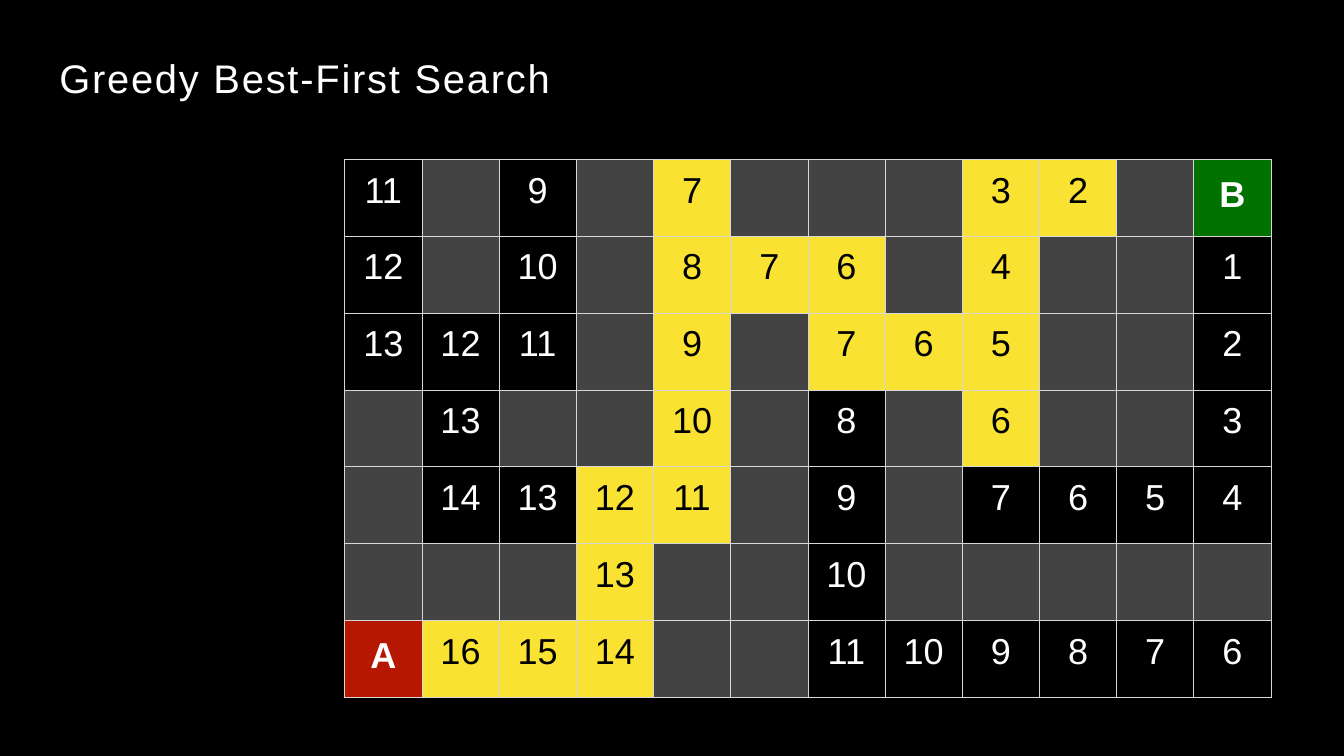
from dataclasses import dataclass

from lxml.etree import SubElement
from pptx import Presentation
from pptx.dml.color import RGBColor
from pptx.enum.text import MSO_ANCHOR as Anchor, MSO_AUTO_SIZE as AutoSize, PP_ALIGN as Align
from pptx.oxml.ns import qn
from pptx.util import Inches, Pt

# Content: "#" is a wall, "*" marks an explored square
TITLE = "Greedy Best-First Search"
MAZE = [
    "11 #  9  #   7*  #  #  #  3* 2* # B",
    "12 #  10 #   8*  7* 6* #  4* #  # 1",
    "13 12 11 #   9*  #  7* 6* 5* #  # 2",
    "#  13 #  #   10* #  8  #  6* #  # 3",
    "#  14 13 12* 11* #  9  #  7  6  5 4",
    "#  #  #  13* #   #  10 #  #  #  # #",
    "A 16* 15* 14* #  #  11 10 9  8  7 6",
]


@dataclass(frozen=True)
class Theme:
    font: str = "Arial"
    title_size: float = 47
    title_spacing: float = 2.1
    cell_size: float = 42.5
    border_width: float = 1
    black: str = "000000"
    white: str = "FFFFFF"
    wall: str = "434343"
    explored: str = "FAE232"
    start: str = "B51700"
    goal: str = "017100"
    border: str = "D6D7D6"


THEME = Theme()


def style_span(span, size, color, bold=False):
    span.font.name = THEME.font
    span.font.size = Pt(size)
    span.font.bold = bold
    span.font.color.rgb = RGBColor.from_string(color)


def add_borders(cell):
    properties = cell._tc.get_or_add_tcPr()
    for side in ("a:lnL", "a:lnR", "a:lnT", "a:lnB"):
        line = SubElement(properties, qn(side), w=str(Pt(THEME.border_width)))
        fill = SubElement(line, qn("a:solidFill"))
        SubElement(fill, qn("a:srgbClr"), val=THEME.border)


def fill_square(cell, mark):
    label = mark.strip("*#")
    endpoint = label in ("A", "B")
    explored = mark.endswith("*")
    special = {"#": THEME.wall, "A": THEME.start, "B": THEME.goal}
    color = THEME.explored if explored else special.get(mark, THEME.black)

    add_borders(cell)
    cell.fill.solid()
    cell.fill.fore_color.rgb = RGBColor.from_string(color)
    cell.margin_left = cell.margin_right = cell.margin_bottom = 0
    cell.margin_top = Inches(0.26 if endpoint else 0.18)
    if label:
        cell.text_frame.text = label
        para = cell.text_frame.paragraphs[0]
        para.alignment = Align.CENTER
        text_color = THEME.black if explored else THEME.white
        style_span(para.runs[0], THEME.cell_size, text_color, endpoint)


def add_title(page):
    title = page.shapes.title
    title.left, title.top = Inches(0.97), Inches(0.86)
    title.width, title.height = Inches(8.3), Inches(0.81)
    frame = title.text_frame
    frame.text = TITLE
    frame.auto_size = AutoSize.NONE
    frame.vertical_anchor = Anchor.TOP
    frame.margin_left = frame.margin_right = frame.margin_bottom = 0
    frame.margin_top = Inches(0.01)
    para = frame.paragraphs[0]
    para.alignment = Align.LEFT
    span = para.runs[0]
    style_span(span, THEME.title_size, THEME.white)
    span.font._element.set("spc", str(round(THEME.title_spacing * 100)))


def add_maze(page):
    rows = [line.split() for line in MAZE]
    columns = len(rows[0])
    width, height = Inches(15.16), Inches(8.8)
    table = page.shapes.add_table(
        len(rows), columns, Inches(5.64), Inches(2.61), width, height
    ).table
    table.first_row = table.horz_banding = False
    for row_index, row in enumerate(rows):
        for column_index, mark in enumerate(row):
            fill_square(table.cell(row_index, column_index), mark)


def main():
    deck = Presentation()
    deck.slide_width, deck.slide_height = Inches(21.99), Inches(12.37)
    page = deck.slides.add_slide(deck.slide_layouts[5])

    # Black page
    page.background.fill.solid()
    page.background.fill.fore_color.rgb = RGBColor.from_string(THEME.black)

    # Title and maze
    add_title(page)
    add_maze(page)
    deck.save("out.pptx")


if __name__ == "__main__":
    main()
